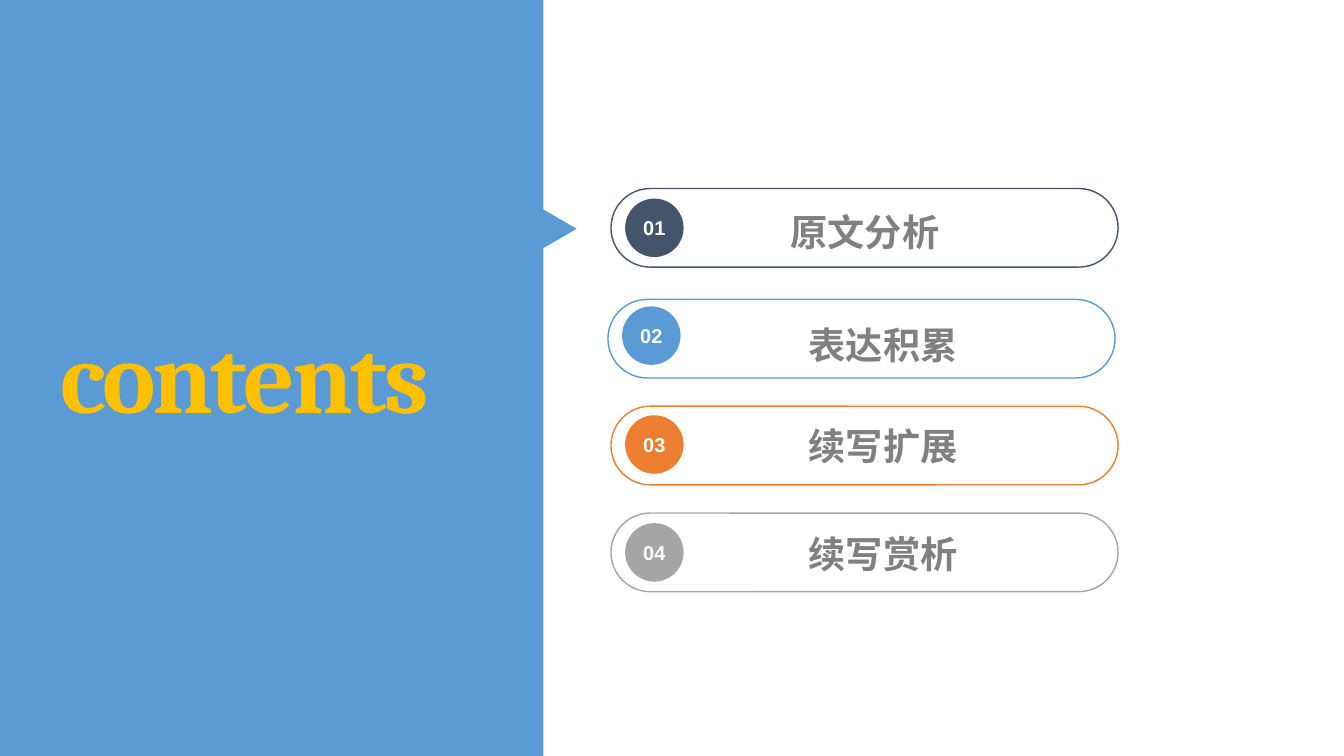
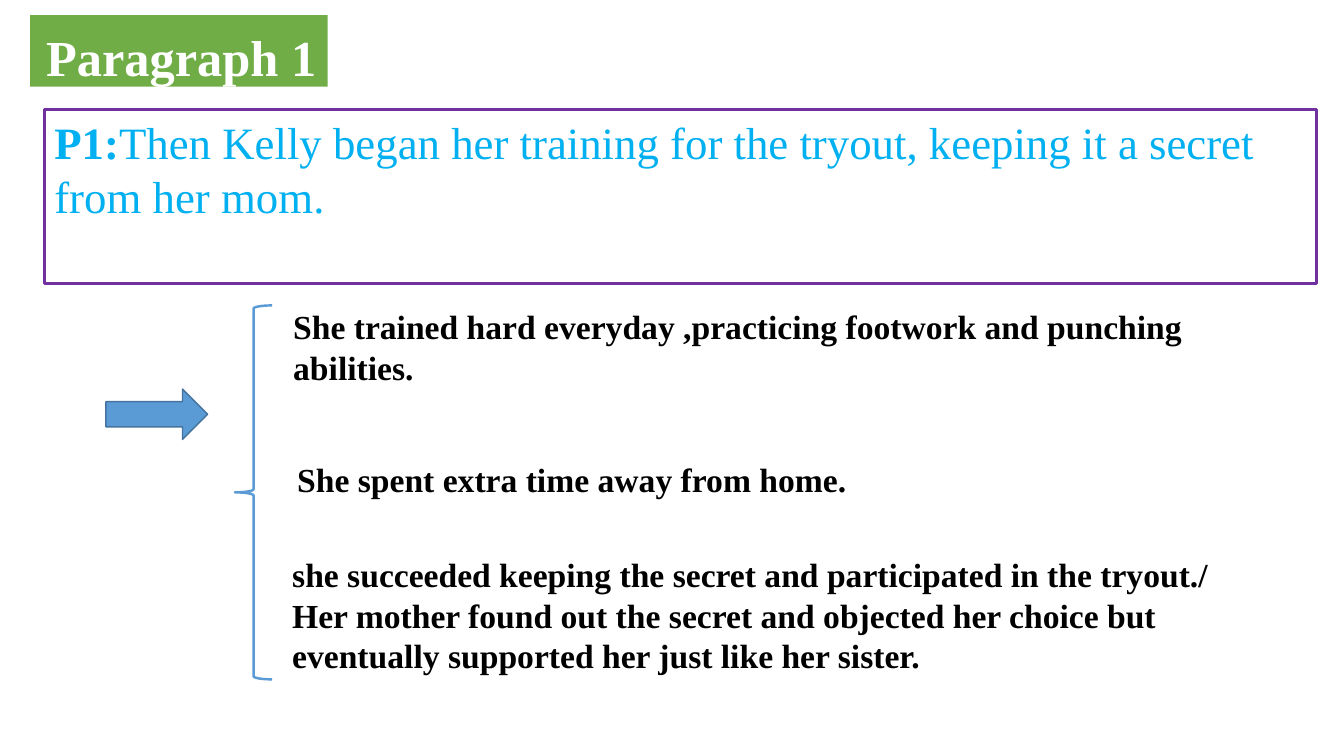
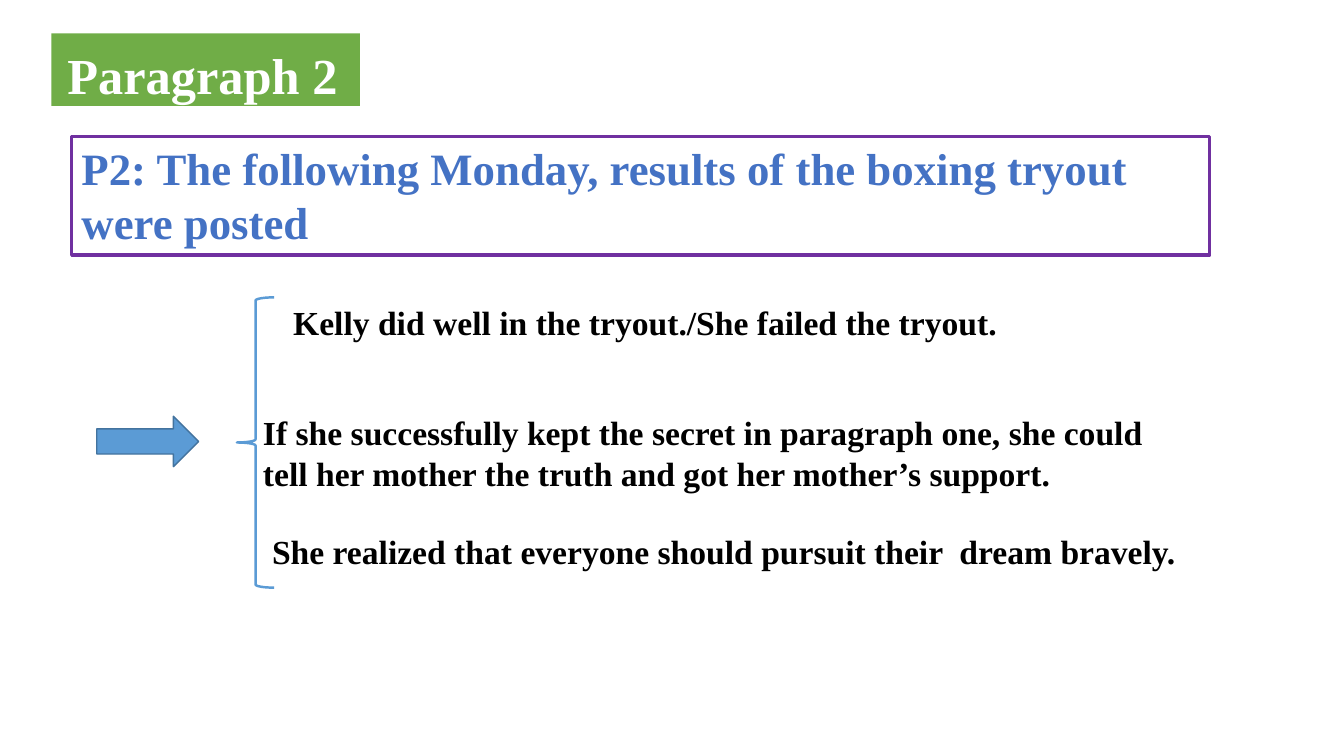
from pptx import Presentation
from pptx.dml.color import RGBColor
from pptx.enum.shapes import MSO_SHAPE
from pptx.enum.text import MSO_ANCHOR, PP_ALIGN
from pptx.util import Inches, Pt

WHITE = RGBColor(0xFF, 0xFF, 0xFF)
BLACK = RGBColor(0x00, 0x00, 0x00)
BLUE = RGBColor(0x5B, 0x9B, 0xD5)
ARROW_EDGE = RGBColor(0x43, 0x73, 0x9E)
NAVY = RGBColor(0x44, 0x54, 0x6A)
ORANGE = RGBColor(0xED, 0x7D, 0x31)
SILVER = RGBColor(0xA5, 0xA5, 0xA5)
GRAY = RGBColor(0x80, 0x80, 0x80)
GOLD = RGBColor(0xFF, 0xC0, 0x00)
GREEN = RGBColor(0x70, 0xAD, 0x47)
PURPLE = RGBColor(0x70, 0x30, 0xA0)
SKY = RGBColor(0x00, 0xB0, 0xF0)
ROYAL = RGBColor(0x44, 0x72, 0xC4)

NUMBER = {"name": "Arial", "size": Pt(14.3), "bold": True}
LABEL = {"name": "Arial", "size": Pt(26.6), "bold": True}
COVER = {"name": "Cambria", "size": Pt(72), "bold": True}
HEADING = {"name": "Times New Roman", "size": Pt(36), "bold": True}
OPENING = {"name": "Times New Roman", "size": Pt(32), "bold": True}
IDEA = {"name": "Times New Roman", "size": Pt(24), "bold": True}


def add_shape(slide, kind, box, fill=None, line=None, weight=1):
    shape = slide.shapes.add_shape(kind, *[Inches(value) for value in box])
    shape.shadow.inherit = False
    if fill is None:
        shape.fill.background()
    else:
        shape.fill.solid()
        shape.fill.fore_color.rgb = fill
    if line is None:
        shape.line.fill.background()
    else:
        shape.line.color.rgb = line
        shape.line.width = Pt(weight)
    return shape


def write(shape, paragraphs, style, color, align=PP_ALIGN.LEFT,
          anchor=MSO_ANCHOR.TOP, insets=(0.1, 0.05)):
    frame = shape.text_frame
    frame.word_wrap = True
    frame.vertical_anchor = anchor
    frame.margin_left = frame.margin_right = Inches(insets[0])
    frame.margin_top = frame.margin_bottom = Inches(insets[1])
    for index, text in enumerate(paragraphs):
        paragraph = frame.paragraphs[0] if index == 0 else frame.add_paragraph()
        paragraph.alignment = align
        run = paragraph.add_run()
        run.text = text
        for name, value in style.items():
            setattr(run.font, name, value)
        run.font.color.rgb = color
    return run


presentation = Presentation()
presentation.slide_width = Inches(13.33)
presentation.slide_height = Inches(7.5)
blank = presentation.slide_layouts[6]

slide = presentation.slides.add_slide(blank)
pointer = add_shape(slide, MSO_SHAPE.ISOSCELES_TRIANGLE, (5.31, 2.08, 0.44, 0.38), BLUE)
pointer.rotation = 90
add_shape(slide, MSO_SHAPE.RECTANGLE, (0, 0, 5.39, 7.5), BLUE)

chapters = [
    ("原文分析", NAVY, 6.06, 1.87, 1.97, 7.3, 2.09),
    ("表达积累", BLUE, 6.03, 2.97, 3.04, 7.48, 3.21),
    ("续写扩展", ORANGE, 6.06, 4.03, 4.12, 7.48, 4.21),
    ("续写赏析", SILVER, 6.06, 5.09, 5.19, 7.48, 5.28),
]
for number, chapter in enumerate(chapters, 1):
    title, color, left, top, badge_top, label_left, label_top = chapter
    pill = add_shape(slide, MSO_SHAPE.ROUNDED_RECTANGLE, (left, top, 5.03, 0.78), line=color)
    pill.adjustments[0] = 0.5
    badge = add_shape(slide, MSO_SHAPE.OVAL, (left + 0.14, badge_top, 0.58, 0.58), color)
    write(badge, [f"{number:02}"], NUMBER, WHITE, PP_ALIGN.CENTER,
          MSO_ANCHOR.MIDDLE, (0.08, 0.04))
    label = add_shape(slide, MSO_SHAPE.RECTANGLE, (label_left, label_top, 2.56, 0.42))
    write(label, [title], LABEL, GRAY, PP_ALIGN.CENTER, MSO_ANCHOR.MIDDLE, (0, 0))

cover = slide.shapes.add_textbox(Inches(0.5), Inches(3.05), Inches(4.6), Inches(1.28))
cover_run = write(cover, ["contents"], COVER, GOLD)
cover_run.font._element.set("spc", "-200")

outlines = [
    {
        "heading": "Paragraph 1",
        "band": (0.3, 0.15, 2.95, 0.71),
        "opening": "P1:",
        "opening_rest": "Then Kelly began her training for the tryout, "
                        "keeping it a secret from her mom.",
        "opening_box": (0.44, 1.09, 12.62, 1.72),
        "opening_color": SKY,
        "arrow": (1.05, 3.86, 1.01, 0.5),
        "brace": (2.33, 3.03, 0.37, 3.71),
        "ideas": [
            ((2.81, 2.99, 9.4, 0.91),
             ["She trained hard everyday ,practicing footwork and punching",
              "abilities."]),
            ((2.85, 4.5, 6.2, 0.5), ["She spent extra time away from home."]),
            ((2.8, 5.45, 10.24, 1.31),
             ["she succeeded keeping the secret and participated in the tryout./",
              "Her mother found out the secret and objected her choice but "
              "eventually supported her just like her sister."]),
        ],
    },
    {
        "heading": "Paragraph 2",
        "band": (0.51, 0.33, 3.06, 0.72),
        "opening": "P2: The following Monday, results of the boxing tryout were posted",
        "opening_rest": "",
        "opening_box": (0.71, 1.35, 11.29, 1.18),
        "opening_color": ROYAL,
        "arrow": (0.96, 4.13, 1.01, 0.5),
        "brace": (2.35, 2.95, 0.37, 2.88),
        "ideas": [
            ((2.81, 2.95, 10.52, 0.5),
             ["Kelly did well in the tryout./She failed the tryout."]),
            ((2.51, 4.04, 10.82, 0.91),
             ["If she successfully kept the secret in paragraph one, she could",
              "tell her mother the truth and got her mother’s support."]),
            ((2.6, 5.22, 10.47, 0.5),
             ["She realized that everyone should pursuit their  dream bravely."]),
        ],
    },
]
for outline in outlines:
    slide = presentation.slides.add_slide(blank)
    opening = add_shape(slide, MSO_SHAPE.RECTANGLE, outline["opening_box"],
                        line=PURPLE, weight=2.25)
    write(opening, [outline["opening"]], OPENING, outline["opening_color"])
    if outline["opening_rest"]:
        rest = opening.text_frame.paragraphs[0].add_run()
        rest.text = outline["opening_rest"]
        for name, value in {**OPENING, "bold": False}.items():
            setattr(rest.font, name, value)
        rest.font.color.rgb = outline["opening_color"]

    left, top, width, height = outline["band"]
    add_shape(slide, MSO_SHAPE.RECTANGLE, outline["band"], GREEN)
    heading = slide.shapes.add_textbox(Inches(left + 0.06), Inches(top + 0.06),
                                       Inches(width + 0.6), Inches(height))
    write(heading, [outline["heading"]], HEADING, WHITE)

    add_shape(slide, MSO_SHAPE.RIGHT_ARROW, outline["arrow"], BLUE, ARROW_EDGE)
    add_shape(slide, MSO_SHAPE.LEFT_BRACE, outline["brace"], line=BLUE, weight=1.75)
    for box, paragraphs in outline["ideas"]:
        idea = slide.shapes.add_textbox(*[Inches(value) for value in box])
        write(idea, paragraphs, IDEA, BLACK)

presentation.save("out.pptx")
